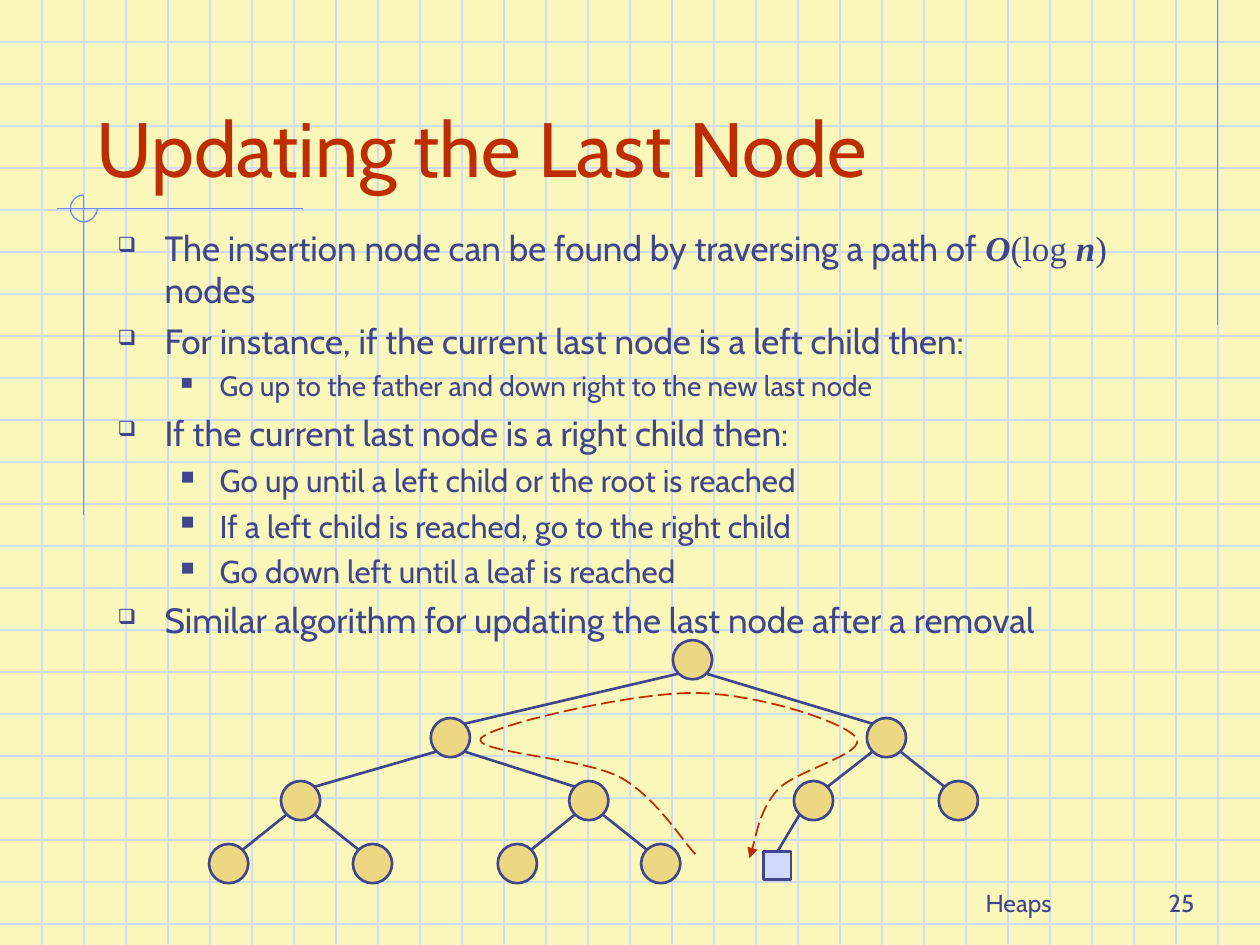
from dataclasses import dataclass
from typing import Any

from lxml.etree import SubElement
from pptx import Presentation
from pptx.dml.color import RGBColor
from pptx.enum.dml import MSO_LINE
from pptx.enum.shapes import MSO_CONNECTOR, MSO_SHAPE
from pptx.enum.text import MSO_ANCHOR, PP_ALIGN
from pptx.oxml.ns import qn
from pptx.util import Cm, Pt

PAPER = RGBColor(0xF9, 0xF8, 0xBA)
PALE_BLUE = RGBColor(0xCF, 0xDB, 0xFD)
RULE_BLUE = RGBColor(0x6F, 0x89, 0xF7)
INDIGO = RGBColor(0x40, 0x45, 0x8C)
RED = RGBColor(0xBE, 0x2D, 0x00)
GOLD = RGBColor(0xEC, 0xD8, 0x82)

WIDTH, HEIGHT = 25.4, 19.05
COLUMNS = 30
GRID_STEP = WIDTH / COLUMNS
NODE_SIZE = 0.79
EDGE_OFFSET = 0.28
LEAF_SIZE = 0.56

Point = tuple[float, float]


@dataclass(frozen=True)
class TreeNode:
    x: float
    y: float
    children: tuple["TreeNode", ...] = ()


@dataclass(frozen=True)
class TextRun:
    text: str
    font: str = "Cabin"
    emphasis: bool = False


@dataclass(frozen=True)
class BulletStyle:
    symbol: str
    margin: float
    indent: float


@dataclass(frozen=True)
class BulletItem:
    level: int
    size: float
    runs: tuple[TextRun, ...]


@dataclass(frozen=True)
class Label:
    text: str
    box: tuple[float, float, float, float]
    size: float
    color: RGBColor
    alignment: PP_ALIGN


BULLET_STYLES = (BulletStyle("❑", 0.95, -0.95), BulletStyle("■", 2.06, -0.79))
MATH = "Times New Roman"
BULLETS = (
    BulletItem(0, 20, (
        TextRun("The insertion node can be found by traversing a path of "),
        TextRun("O", MATH, True),
        TextRun("(log ", MATH),
        TextRun("n", MATH, True),
        TextRun(") ", MATH),
        TextRun("nodes"),
    )),
    BulletItem(0, 20, (TextRun("For instance, if the current last node is a left child then:"),)),
    BulletItem(1, 16, (TextRun("Go up to the father and down right to the new last node"),)),
    BulletItem(0, 20, (TextRun("If the current last node is a right child then:"),)),
    BulletItem(1, 18, (TextRun("Go up until a left child or the root is reached"),)),
    BulletItem(1, 18, (TextRun("If a left child is reached, go to the right child"),)),
    BulletItem(1, 18, (TextRun("Go down left until a leaf is reached"),)),
    BulletItem(0, 20, (TextRun("Similar algorithm for updating the last node after a removal"),)),
)
LABELS = (
    Label("25", (19.05, 17.35, 5.28, 1.27), 14, INDIGO, PP_ALIGN.RIGHT),
    Label("Updating the Last Node", (1.7, 0.84, 21.59, 3.17), 44, RED, PP_ALIGN.LEFT),
    Label("Heaps", (16.51, 17.35, 8.05, 1.27), 14, INDIGO, PP_ALIGN.CENTER),
)
LEVEL_TOPS = (13.3, 14.87, 16.14, 17.41)
INSERTION_PARENT = TreeNode(16.4, LEVEL_TOPS[2])
TREE = TreeNode(13.96, LEVEL_TOPS[0], (
    TreeNode(9.08, LEVEL_TOPS[1], (
        TreeNode(6.06, LEVEL_TOPS[2], (TreeNode(4.61, LEVEL_TOPS[3]), TreeNode(7.51, LEVEL_TOPS[3]))),
        TreeNode(11.87, LEVEL_TOPS[2], (TreeNode(10.43, LEVEL_TOPS[3]), TreeNode(13.32, LEVEL_TOPS[3]))),
    )),
    TreeNode(17.87, LEVEL_TOPS[1], (INSERTION_PARENT, TreeNode(19.32, LEVEL_TOPS[2]))),
))
INSERTION_LEAF = (15.67, 17.45)
TRAVERSAL = (
    (14.02, 17.22),
    (13.77, 16.97), (13.21, 16.05), (12.5, 15.67),
    (11.76, 15.27), (9.47, 15.16), (9.7, 14.88),
    (9.96, 14.6), (12.73, 13.97), (13.97, 13.97),
    (15.21, 13.97), (16.97, 14.53), (17.25, 14.86),
    (17.53, 15.19), (16.03, 15.52), (15.67, 15.93),
    (15.32, 16.33), (15.21, 17.02), (15.11, 17.3),
)
CORNER_ARC = (
    (1.69, 3.93),
    (1.54, 3.93), (1.42, 4.05), (1.42, 4.2),
    (1.42, 4.35), (1.54, 4.47), (1.69, 4.47),
    (1.84, 4.47), (1.96, 4.35), (1.96, 4.2),
)


def apply_format(target: Any, values: dict[str, Any]) -> None:
    """Set every named attribute on the target."""
    for name, value in values.items():
        setattr(target, name, value)


def draw_line(slide: Any, start: Point, end: Point, color: RGBColor, width: float) -> None:
    """Draw a straight line without a shadow."""
    points = [Cm(value) for value in (*start, *end)]
    connector = slide.shapes.add_connector(MSO_CONNECTOR.STRAIGHT, *points)
    connector.line.color.rgb = color
    connector.line.width = Pt(width)
    SubElement(connector.element.spPr, qn("a:effectLst"))


def draw_curve(slide: Any, points: tuple[Point, ...], color: RGBColor, width: float) -> Any:
    """Draw an open outline of cubic curves, three points to each curve."""
    start, *rest = [(Cm(x), Cm(y)) for x, y in points]
    builder = slide.shapes.build_freeform(*start)
    builder.add_line_segments(rest, close=False)
    shape = builder.convert_to_shape()
    outline = next(shape.element.iter(qn("a:path")))
    segments = outline.findall(qn("a:lnTo"))
    for first in range(0, len(segments), 3):
        curve = SubElement(outline, qn("a:cubicBezTo"))
        for segment in segments[first:first + 3]:
            curve.append(segment[0])
            outline.remove(segment)
    shape.shadow.inherit = False
    shape.fill.background()
    shape.line.color.rgb = color
    shape.line.width = Pt(width)
    return shape


def draw_marker(slide: Any, kind: MSO_SHAPE, center: Point, size: float, color: RGBColor) -> None:
    """Draw a filled tree marker around its centre."""
    left, top = (Cm(value - size / 2) for value in center)
    shape = slide.shapes.add_shape(kind, left, top, Cm(size), Cm(size))
    shape.shadow.inherit = False
    shape.fill.solid()
    shape.fill.fore_color.rgb = color
    shape.line.color.rgb = INDIGO
    shape.line.width = Pt(1.5)


def draw_tree(slide: Any, node: TreeNode) -> None:
    """Draw a node, its edges and all nodes below it."""
    draw_marker(slide, MSO_SHAPE.OVAL, (node.x, node.y), NODE_SIZE, GOLD)
    for child in node.children:
        shift = EDGE_OFFSET if child.x > node.x else -EDGE_OFFSET
        draw_line(slide, (node.x + shift, node.y + EDGE_OFFSET),
                  (child.x - shift, child.y - EDGE_OFFSET), INDIGO, 1.5)
        draw_tree(slide, child)


def draw_label(slide: Any, label: Label) -> None:
    """Draw one bottom-anchored line of text."""
    frame = slide.shapes.add_textbox(*map(Cm, label.box)).text_frame
    apply_format(frame, {"word_wrap": True, "vertical_anchor": MSO_ANCHOR.BOTTOM})
    paragraph = frame.paragraphs[0]
    apply_format(paragraph, {"text": label.text, "alignment": label.alignment})
    apply_format(paragraph.runs[0].font, {"name": "Cabin", "size": Pt(label.size)})
    paragraph.runs[0].font.color.rgb = label.color


def draw_bullets(slide: Any) -> None:
    """Draw the two-level bullet list."""
    frame = slide.shapes.add_textbox(Cm(2.12), Cm(4.45), Cm(21.8), Cm(8.68)).text_frame
    frame.word_wrap = True
    for index, item in enumerate(BULLETS):
        paragraph = frame.add_paragraph() if index else frame.paragraphs[0]
        style = BULLET_STYLES[item.level]
        properties = paragraph._p.get_or_add_pPr()
        properties.set("marL", str(Cm(style.margin)))
        properties.set("indent", str(Cm(style.indent)))
        bullet_color = SubElement(properties, qn("a:buClr"))
        SubElement(bullet_color, qn("a:srgbClr"), val=str(INDIGO))
        SubElement(properties, qn("a:buSzPct"), val="60000")
        SubElement(properties, qn("a:buChar"), char=style.symbol)
        apply_format(paragraph, {"level": item.level, "space_before": Pt(item.size / 4 if index else 0)})
        for part in item.runs:
            run = paragraph.add_run()
            run.text = part.text
            apply_format(run.font, {"name": part.font, "size": Pt(item.size),
                                    "bold": part.emphasis, "italic": part.emphasis})
            run.font.color.rgb = INDIGO


def main() -> None:
    """Build and save the slide."""
    presentation = Presentation()
    apply_format(presentation, {"slide_width": Cm(WIDTH), "slide_height": Cm(HEIGHT)})
    slide = presentation.slides.add_slide(presentation.slide_layouts[6])
    slide.background.fill.solid()
    slide.background.fill.fore_color.rgb = PAPER
    for row in range(1, int(HEIGHT / GRID_STEP) + 1):
        draw_line(slide, (0, row * GRID_STEP), (WIDTH, row * GRID_STEP), PALE_BLUE, 0.75)
    for column in range(1, COLUMNS):
        draw_line(slide, (column * GRID_STEP, 0), (column * GRID_STEP, HEIGHT), PALE_BLUE, 0.75)
    for start, end in (((24.55, 0), (24.55, 6.55)), ((6.1, 4.2), (1.15, 4.2)), ((1.69, 3.93), (1.69, 10.39))):
        draw_line(slide, start, end, RULE_BLUE, 0.75)
    draw_curve(slide, CORNER_ARC, RULE_BLUE, 0.75)
    for label in LABELS:
        draw_label(slide, label)
    draw_bullets(slide)
    draw_tree(slide, TREE)
    draw_marker(slide, MSO_SHAPE.RECTANGLE, INSERTION_LEAF, LEAF_SIZE, PALE_BLUE)
    draw_line(slide, (INSERTION_LEAF[0], INSERTION_LEAF[1] - LEAF_SIZE / 2),
              (INSERTION_PARENT.x - EDGE_OFFSET, INSERTION_PARENT.y + EDGE_OFFSET), INDIGO, 1.5)
    traversal = draw_curve(slide, TRAVERSAL, RED, 1)
    traversal.line.dash_style = MSO_LINE.LONG_DASH
    SubElement(traversal.line._get_or_add_ln(), qn("a:tailEnd"), type="triangle")
    presentation.save("out.pptx")


if __name__ == "__main__":
    main()
